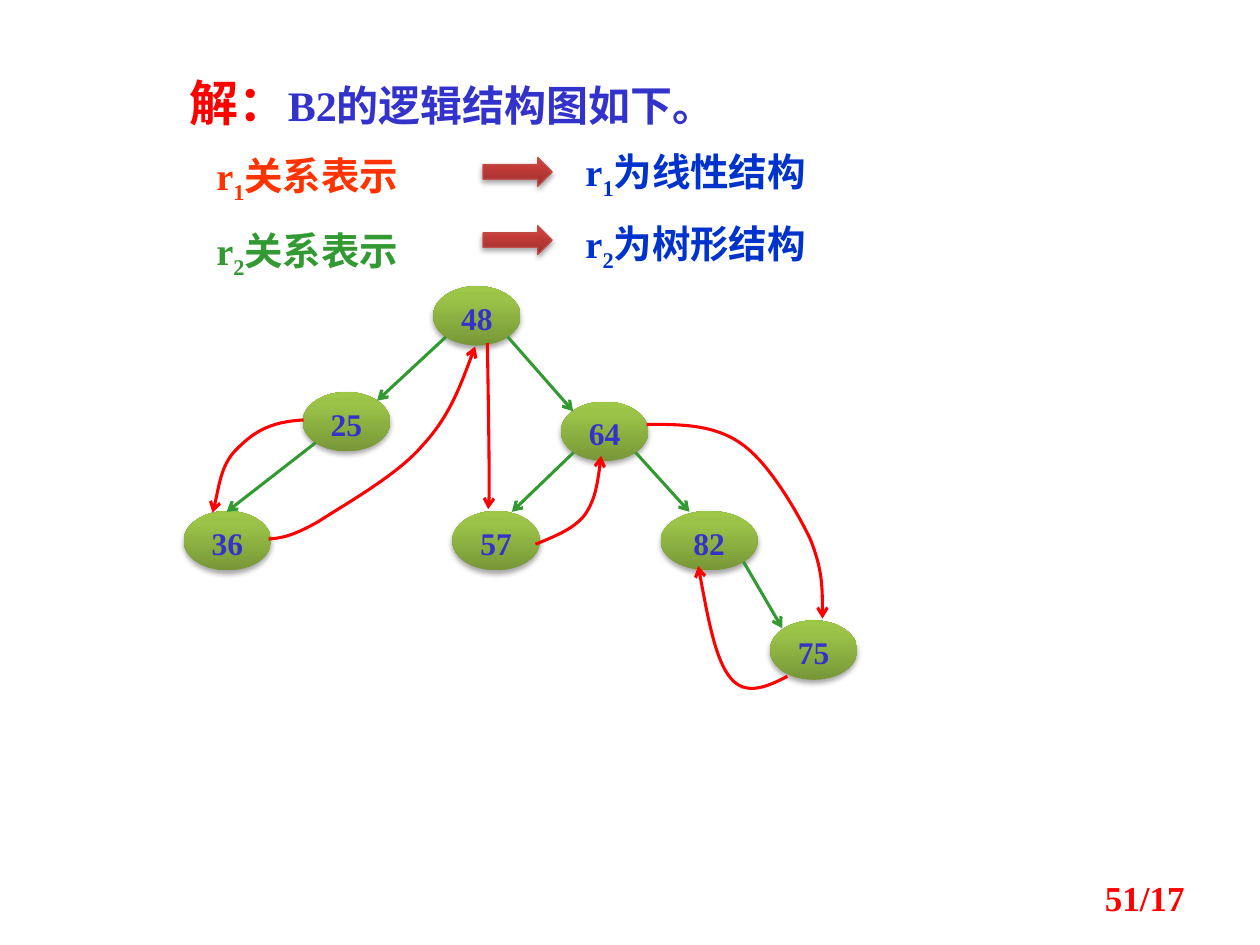
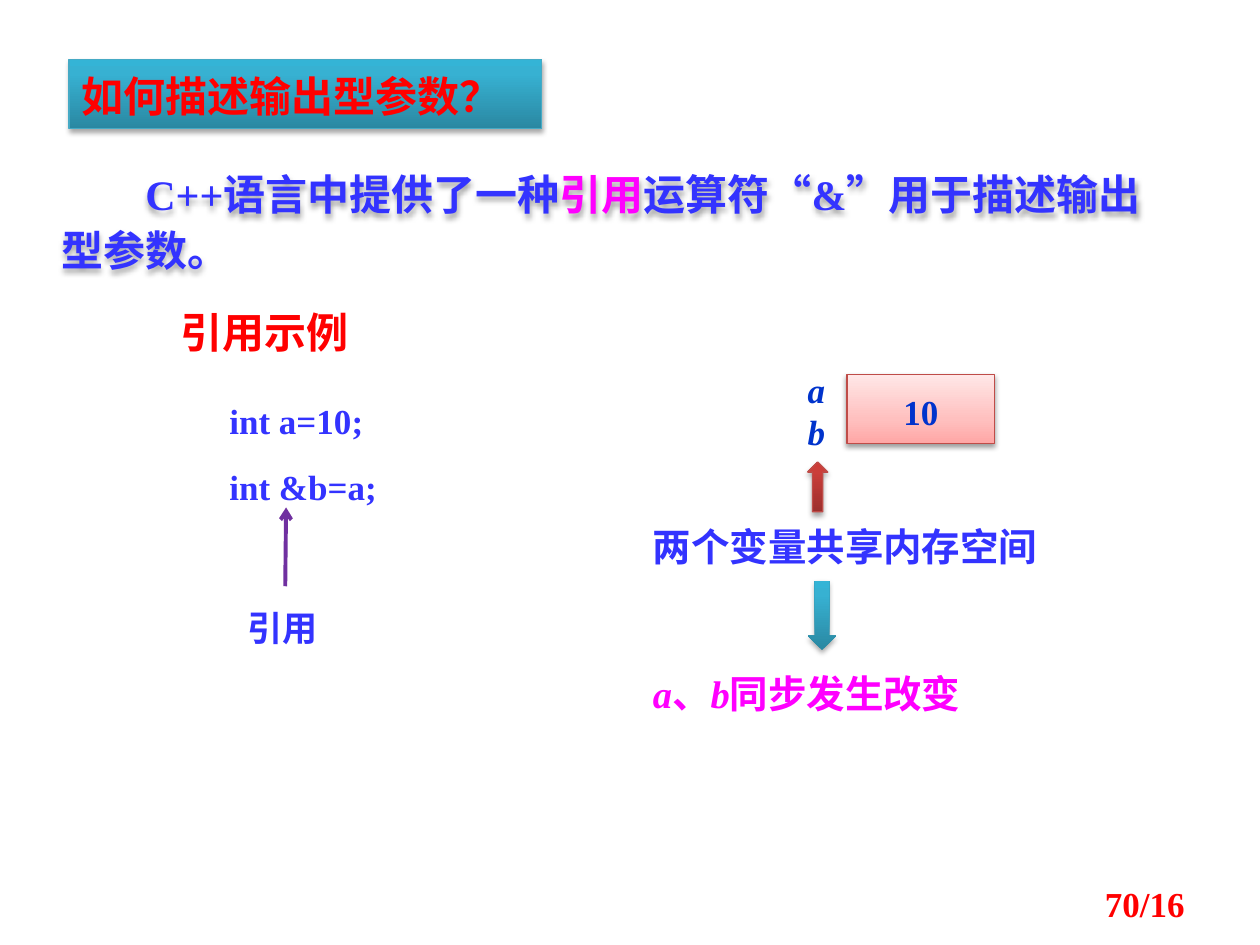
from dataclasses import dataclass
from typing import NamedTuple, Optional

from lxml import etree
from pptx import Presentation
from pptx.dml.color import RGBColor
from pptx.enum import shapes, text
from pptx.oxml import ns
from pptx.util import Pt

ROMAN = "Times New Roman"
HAN = "Noto Sans CJK SC"
RED, GREEN, ORANGE = "FF0000", "339933", "FF3300"
BLUE, NAVY, INDIGO = "3333FF", "0033CC", "3333CC"
PINK, PURPLE = "FF00FF", "7030A0"
BRICK_EDGE, TEAL_EDGE = "BF4C48", "46AAC5"
LEAF = ((0, "779737"), (80, "9BC348"), (100, "9DC746"))
BRICK = ((0, "9C2F2D"), (80, "CB3E3A"), (100, "CE3B37"))
TEAL = ((0, "2A88A2"), (80, "37B1D2"), (100, "34B4D6"))
ROSE = ((0, "FFA6A5"), (35, "FFC0BF"), (100, "FFE7E7"))
KIND = shapes.MSO_AUTO_SHAPE_TYPE
ALIGN = text.PP_ALIGN
MIDDLE, TOP = text.MSO_ANCHOR.MIDDLE, text.MSO_ANCHOR.TOP
PAD = (7.2, 3.6, 7.2, 3.6)
NONE = (0, 0, 0, 0)
ROOT2 = 2 ** 0.5


class Box(NamedTuple):
    left: float
    top: float
    width: float
    height: float


class Part(NamedTuple):
    words: str
    tint: Optional[str] = None
    size: Optional[float] = None
    base: int = 0
    slant: Optional[bool] = None


@dataclass
class Style:
    size: float
    tint: str
    lead: float = 1.1
    face: str = ROMAN
    slant: bool = False
    align: ALIGN = ALIGN.LEFT
    anchor: MIDDLE = TOP
    pad: tuple = PAD
    indent: float = 0


@dataclass
class Label:
    box: Box
    lines: list
    style: Style


@dataclass
class Solid:
    kind: KIND
    box: Box
    stops: tuple
    edge: Optional[str] = None
    words: str = ""
    style: Optional[Style] = None
    shade: int = 35


class Edge(NamedTuple):
    start: str
    side: int
    tip: tuple


def color(code: str) -> RGBColor:
    return RGBColor.from_string(code)


def add_tag(parent, tag: str, **attrs):
    return etree.SubElement(parent, ns.qn(tag), attrs)


def add_shade(shape, alpha: int) -> None:
    shape.shadow.inherit = False
    effect = shape._element.spPr.find(ns.qn("a:effectLst"))
    outer = add_tag(effect, "a:outerShdw", blurRad=str(Pt(3.1)), dist=str(Pt(1.8)),
                    dir="5400000", rotWithShape="0")
    black = add_tag(outer, "a:srgbClr", val="000000")
    add_tag(black, "a:alpha", val=str(alpha * 1000))


def fill_blend(shape, stops: tuple) -> None:
    shape.fill.gradient()
    shape.fill.gradient_angle = 90
    group = shape._element.spPr.find(ns.qn("a:gradFill")).find(ns.qn("a:gsLst"))
    for old in list(group):
        group.remove(old)
    for place, code in stops:
        add_tag(add_tag(group, "a:gs", pos=str(place * 1000)), "a:srgbClr", val=code)


def set_line(shape, code: str, width: float, head: bool = False) -> None:
    shape.line.color.rgb = color(code)
    shape.line.width = Pt(width)
    if head:
        add_tag(shape.line._get_or_add_ln(), "a:tailEnd", type="arrow")


def write(frame, lines: list, style: Style) -> None:
    frame.word_wrap = True
    frame.vertical_anchor = style.anchor
    (frame.margin_left, frame.margin_top,
     frame.margin_right, frame.margin_bottom) = map(Pt, style.pad)
    for i, line in enumerate(lines):
        para = frame.add_paragraph() if i else frame.paragraphs[0]
        para.alignment = style.align
        para.line_spacing = style.lead
        if i:
            para.space_before = Pt(style.size * 0.57)
        if style.indent:
            para._p.get_or_add_pPr().set("indent", str(Pt(style.indent)))
        font = para.font
        font.name = style.face
        add_tag(font._element, "a:ea", typeface=HAN)
        font.size = Pt(style.size)
        font.bold = True
        font.italic = style.slant
        font.color.rgb = color(style.tint)
        for part in [Part(line)] if isinstance(line, str) else line:
            run = para.add_run()
            run.text = part.words
            if part.tint:
                run.font.color.rgb = color(part.tint)
            if part.size:
                run.font.size = Pt(part.size)
            if part.slant is not None:
                run.font.italic = part.slant
            if part.base:
                run._r.get_or_add_rPr().set("baseline", str(part.base * 1000))


def draw_label(slide, label: Label):
    shape = slide.shapes.add_textbox(*map(Pt, label.box))
    write(shape.text_frame, label.lines, label.style)
    return shape


def draw_solid(slide, solid: Solid) -> None:
    shape = slide.shapes.add_shape(solid.kind, *map(Pt, solid.box))
    fill_blend(shape, solid.stops)
    if solid.edge:
        set_line(shape, solid.edge, 0.75)
    else:
        shape.line.fill.background()
    add_shade(shape, solid.shade)
    if solid.style:
        write(shape.text_frame, [solid.words], solid.style)


def draw_arrow(slide, start: tuple, end: tuple, code: str, width: float) -> None:
    line = slide.shapes.add_connector(shapes.MSO_CONNECTOR.STRAIGHT,
                                      *map(Pt, (*start, *end)))
    set_line(line, code, width, head=True)
    add_tag(line._element.spPr, "a:effectLst")


def draw_curve(slide, points: list) -> None:
    first, *rest = [(Pt(x), Pt(y)) for x, y in points]
    maker = slide.shapes.build_freeform(*first)
    maker.add_line_segments(rest, close=False)
    shape = maker.convert_to_shape()
    track = next(shape._element.iter(ns.qn("a:path")))
    steps = track.findall(ns.qn("a:lnTo"))
    for i in range(0, len(steps), 3):
        bend = add_tag(track, "a:cubicBezTo")
        for step in steps[i:i + 3]:
            bend.append(step[0])
            track.remove(step)
    shape.fill.background()
    set_line(shape, RED, 1.75, head=True)
    shape.shadow.inherit = False


def draw_foot(slide, words: str, lead: float) -> None:
    style = Style(20, RED, lead, align=ALIGN.RIGHT, anchor=MIDDLE)
    draw_label(slide, Label(Box(516, 500.5, 168, 29), [words], style))


NODES = {
    "48": Box(247.5, 163.5, 50, 34),
    "25": Box(173, 224, 50, 34),
    "36": Box(105, 292, 50, 34),
    "64": Box(320.5, 229.5, 50, 34),
    "57": Box(258.5, 292, 50, 34),
    "82": Box(377.5, 292, 55.5, 34),
    "75": Box(440, 354.5, 50, 34),
}
EDGES = [
    Edge("48", -1, (215.5, 229)),
    Edge("25", -1, (129.5, 292.5)),
    Edge("48", 1, (327.5, 235)),
    Edge("64", 1, (394, 292.5)),
    Edge("64", -1, (292.5, 292.5)),
    Edge("82", 1, (447, 359)),
]
CURVES = [
    [(173.5, 240), (153.5, 241), (144.5, 247.5), (135.5, 256.5),
     (126.5, 265), (124, 285), (121.5, 293)],
    [(153.5, 308), (160.5, 307.5), (167, 306.5), (182, 298),
     (196.5, 288.5), (227, 271.5), (241, 255),
     (256.5, 238.5), (264, 218), (271.5, 198)],
    [(278.5, 196), (279, 226), (279.5, 256), (279.5, 272),
     (279.5, 288), (279.5, 289.5), (279, 291)],
    [(306, 311), (317, 306.5), (327.5, 302.5), (334, 294.5),
     (340, 286), (342, 273), (343.5, 260.5)],
    [(450, 386.5), (438.5, 392.5), (426, 398), (417.5, 387.5),
     (409, 377.5), (404, 350.5), (399, 323.5)],
    [(369.5, 242.5), (389, 242.5), (408, 242.5), (423.5, 253.5),
     (439, 264), (455, 291.5), (463, 308),
     (470, 325.5), (470, 340), (470, 353.5)],
]


def build_tree(slide) -> None:
    style = Style(18, INDIGO, align=ALIGN.CENTER, anchor=MIDDLE, pad=NONE)
    for name, box in NODES.items():
        draw_solid(slide, Solid(KIND.OVAL, box, LEAF, words=name, style=style))
    title = [Part("解：", RED, 28), Part("B2的逻辑结构图如下。")]
    draw_label(slide, Label(Box(101.5, 44.5, 382.5, 34.5), [title],
                            Style(24, INDIGO, 0.8)))
    rows = [("1", ORANGE, 84, 90, 84, "为线性结构"),
            ("2", GREEN, 127, 129, 125, "为树形结构")]
    for mark, tint, left_top, arrow_top, right_top, form in rows:
        name = [Part("r"), Part(mark, base=-25)]
        draw_label(slide, Label(Box(116.5, left_top, 153.5, 27.5),
                                [name + [Part("关系表示")]],
                                Style(22, tint, 0.8, pad=(7.2, 5.76, 7.2, 0))))
        draw_solid(slide, Solid(KIND.RIGHT_ARROW, Box(276, arrow_top, 39.5, 16.5),
                                BRICK, BRICK_EDGE))
        draw_label(slide, Label(Box(327.5, right_top, 186, 29),
                                [name + [Part(form)]], Style(22, NAVY, 0.8)))
    for edge in EDGES:
        box = NODES[edge.start]
        start = (box.left + box.width / 2 * (1 + edge.side / ROOT2),
                 box.top + box.height / 2 * (1 + 1 / ROOT2))
        draw_arrow(slide, start, edge.tip, GREEN, 1.75)
    for points in CURVES:
        draw_curve(slide, points)
    draw_foot(slide, "51/17", 0.8)


def build_refs(slide) -> None:
    intro = [Part("C++语言中提供了一种"), Part("引用", PINK),
             Part("运算符“&”用于描述输出型参数。")]
    shape = draw_label(slide, Label(Box(28, 90, 641.5, 71), [intro],
                                    Style(24, BLUE, indent=48)))
    add_shade(shape, 35)
    slant = Style(20, NAVY, slant=True, pad=NONE)
    both = [Part("a"), Part("、", slant=False), Part("b"),
            Part("同步发生改变", slant=False)]
    for label in [
        Label(Box(124, 222.5, 140.5, 73), ["int a=10;", "int &b=a;"], Style(20, BLUE)),
        Label(Box(134.5, 340.5, 62, 31), ["引用"], Style(20, BLUE, face=HAN)),
        Label(Box(96, 168.5, 124, 37), ["引用示例"], Style(24, RED, face=HAN)),
        Label(Box(461.5, 208, 16.5, 26.5), ["a"], slant),
        Label(Box(461.5, 232, 16.5, 24.5), ["b"], slant),
        Label(Box(366, 292.5, 253.5, 33), ["两个变量共享内存空间"],
              Style(22, BLUE, face=HAN)),
        Label(Box(366, 376.5, 214, 37), [both], Style(22, PINK, slant=True)),
    ]:
        draw_label(slide, label)
    draw_arrow(slide, (163, 335), (163.5, 290), PURPLE, 2.25)
    for solid in [
        Solid(KIND.RECTANGLE, Box(484, 214, 84.5, 39.5), ROSE, BRICK_EDGE, "10",
              Style(20, NAVY, align=ALIGN.CENTER, anchor=MIDDLE), 38),
        Solid(KIND.UP_ARROW, Box(461.5, 264, 11.5, 28.5), BRICK, BRICK_EDGE),
        Solid(KIND.RECTANGLE, Box(39.5, 34, 270, 39.5), TEAL, TEAL_EDGE,
              "如何描述输出型参数？", Style(24, RED, face="Calibri")),
        Solid(KIND.DOWN_ARROW, Box(461.5, 332, 16.5, 39.5), TEAL),
    ]:
        draw_solid(slide, solid)
    draw_foot(slide, "70/16", 1.1)


def main() -> None:
    deck = Presentation()
    deck.slide_width, deck.slide_height = Pt(720), Pt(540)
    for build in (build_tree, build_refs):
        build(deck.slides.add_slide(deck.slide_layouts[6]))
    deck.save("out.pptx")


if __name__ == "__main__":
    main()
